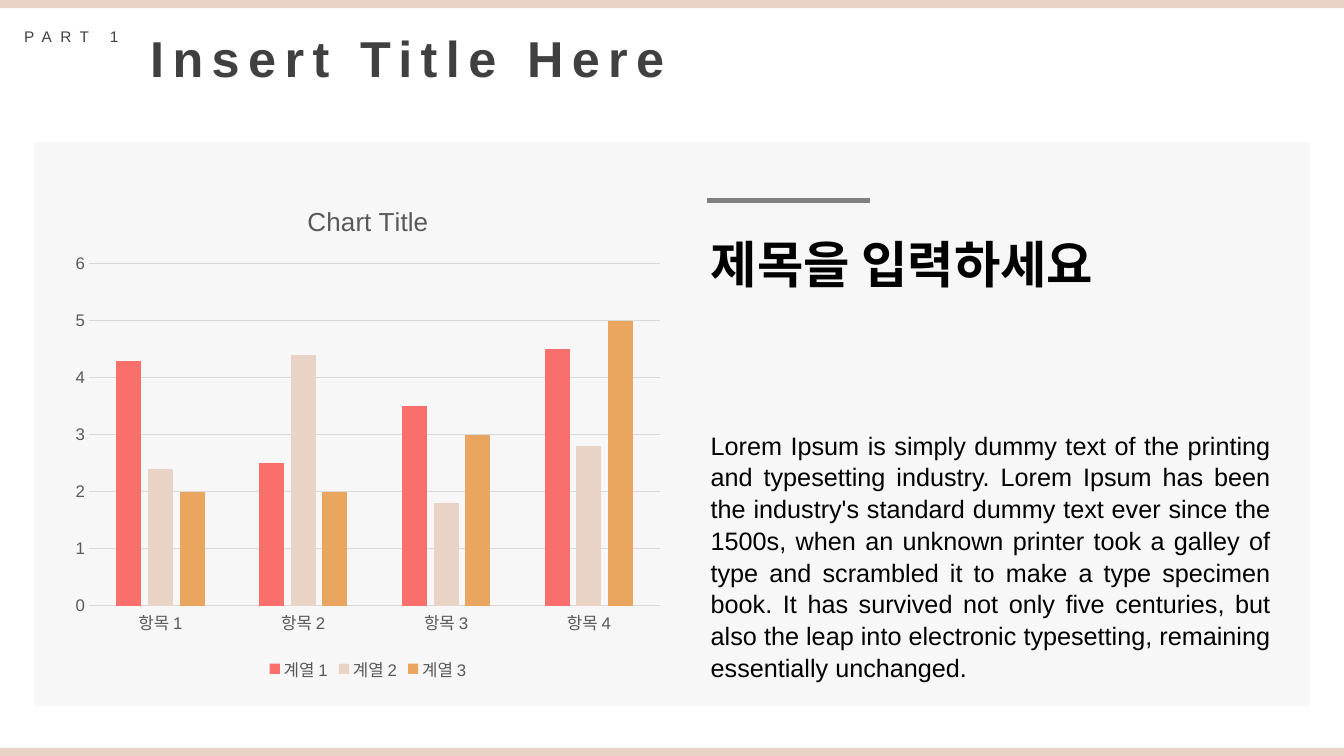
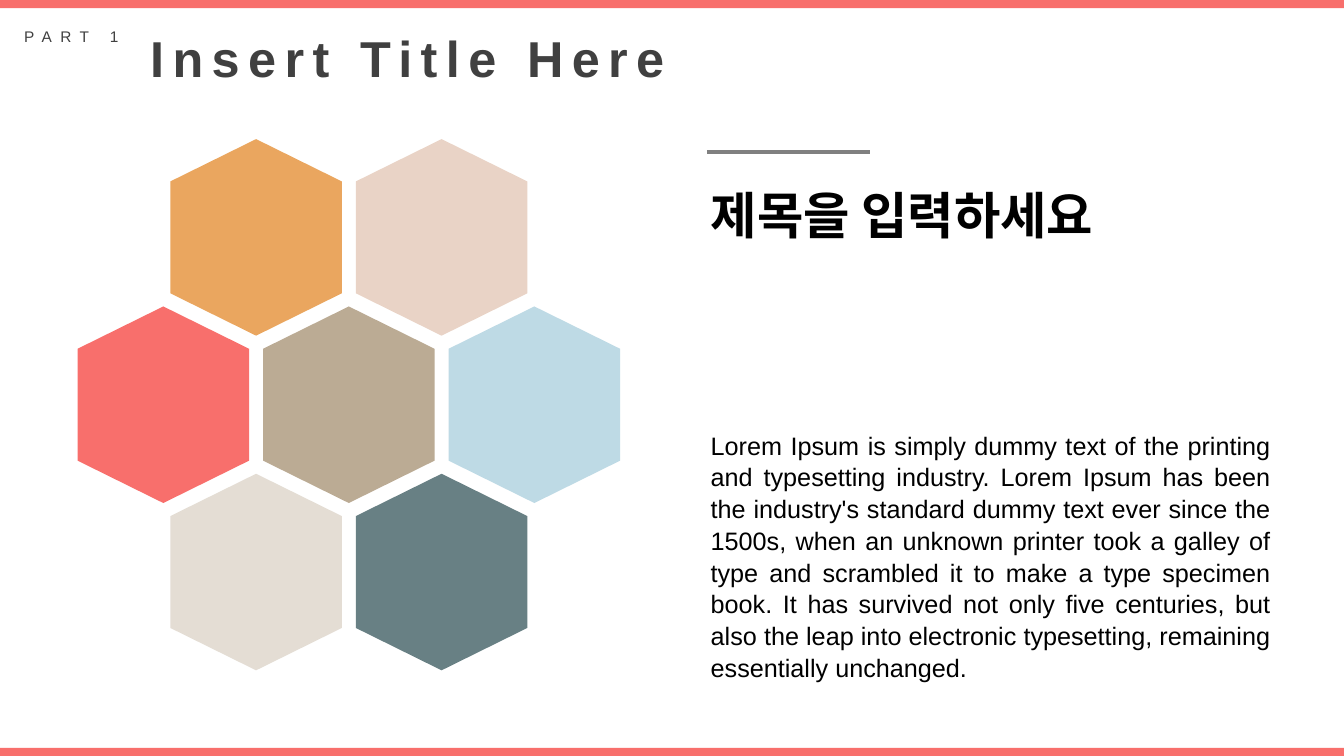
from lxml import etree
from pptx import Presentation
from pptx.chart.data import CategoryChartData
from pptx.dml.color import RGBColor
from pptx.enum.chart import XL_CHART_TYPE, XL_LEGEND_POSITION, XL_TICK_MARK
from pptx.enum.shapes import MSO_CONNECTOR, MSO_SHAPE
from pptx.enum.text import MSO_ANCHOR, MSO_AUTO_SIZE, PP_ALIGN
from pptx.oxml.ns import qn
from pptx.util import Pt

COLUMNS = XL_CHART_TYPE.COLUMN_CLUSTERED
BOTTOM = XL_LEGEND_POSITION.BOTTOM
NO_TICK = XL_TICK_MARK.NONE
STRAIGHT = MSO_CONNECTOR.STRAIGHT
RECTANGLE = MSO_SHAPE.RECTANGLE
TOP = MSO_ANCHOR.TOP
GROW = MSO_AUTO_SIZE.SHAPE_TO_FIT_TEXT
LEFT, JUSTIFY = PP_ALIGN.LEFT, PP_ALIGN.JUSTIFY

SCALE = 9144
WIDTH, HEIGHT = 1333, 750
BAND_HEIGHT = 8
TITLE_ONLY = 5
FONT = "Arial"

COLORS = {
    "black": "000000", "dark": "404040", "label": "595959", "rule": "808080",
    "grid": "D9D9D9", "panel": "F7F7F7", "coral": "F86F6C", "blush": "E9D3C6",
    "amber": "EAA65F", "taupe": "BBAB94", "sky": "BEDAE5", "slate": "688084",
    "sand": "E4DDD4",
}

FORMATS = {
    "title": {"size": Pt(36), "bold": True},
    "part": {"size": Pt(11), "bold": False},
    "heading": {"size": Pt(36), "bold": True},
    "body": {"size": Pt(18), "bold": False},
    "chart": {"size": Pt(12), "bold": False},
    "chart title": {"size": Pt(18.6), "bold": False},
}

BODY = (
    "Lorem Ipsum is simply dummy text of the printing and typesetting industry. "
    "Lorem Ipsum has been the industry's standard dummy text ever since the 1500s, "
    "when an unknown printer took a galley of type and scrambled it to make a type "
    "specimen book. It has survived not only five centuries, but also the leap into "
    "electronic typesetting, remaining essentially unchanged."
)

CATEGORIES = ["항목 1", "항목 2", "항목 3", "항목 4"]
SERIES = [
    ("계열 1", (4.3, 2.5, 3.5, 4.5), "coral"),
    ("계열 2", (2.4, 4.4, 1.8, 2.8), "blush"),
    ("계열 3", (2, 2, 3, 5), "amber"),
]

HEXAGON_WIDTH, HEXAGON_HEIGHT, SHOULDER = 170, 195, 42
COLUMN_PITCH, ROW_PITCH = 184, 166
HONEYCOMB_LEFT, HONEYCOMB_TOP = 77, 138
HONEYCOMB = [
    ("amber", "blush"),
    ("coral", "taupe", "sky"),
    ("sand", "slate"),
]


def px(*lengths):
    """Turn px lengths into a list of EMU."""
    return [length * SCALE for length in lengths]


def rgb(name):
    """Look up a named colour."""
    return RGBColor.from_string(COLORS[name])


class Deck:
    """Hold the shared style and the slide being built."""

    def __init__(self):
        """Open an empty wide presentation."""
        self.presentation = Presentation()
        self.presentation.slide_width, self.presentation.slide_height = px(WIDTH, HEIGHT)
        self.slide = None

    def add_slide(self, band_color, panel=None):
        """Start a slide with its bands, part label and title."""
        layout = self.presentation.slide_layouts[TITLE_ONLY]
        self.slide = self.presentation.slides.add_slide(layout)
        if panel:
            self.rectangle(panel, "panel")
        for top in (0, HEIGHT - BAND_HEIGHT):
            self.rectangle((0, top, WIDTH, BAND_HEIGHT), band_color)
        title = self.slide.shapes.title
        title.left, title.top, title.width, title.height = px(139, 22, 544, 71)
        self.fill_text(title, "Insert Title Here", "title", "dark", spacing=6)
        self.text((14, 22, 125, 29), "PART 1", "part", "dark", spacing=6)

    def style_font(self, font, style, color):
        """Apply a named format and colour to a font."""
        for name, value in {"name": FONT, **FORMATS[style]}.items():
            setattr(font, name, value)
        font.color.rgb = rgb(color)

    def fill_text(self, shape, text, style, color, spacing=0, wrap=False,
                  alignment=LEFT, line_spacing=1.0):
        """Fill a shape with one formatted paragraph."""
        frame = shape.text_frame
        frame.word_wrap, frame.auto_size, frame.vertical_anchor = wrap, GROW, TOP
        paragraph = frame.paragraphs[0]
        paragraph.alignment, paragraph.line_spacing = alignment, line_spacing
        run = paragraph.add_run()
        run.text = text
        self.style_font(run.font, style, color)
        if spacing:
            run._r.get_or_add_rPr().set("spc", str(spacing * 100))

    def text(self, box, text, style, color, **options):
        """Add a text box."""
        self.fill_text(self.slide.shapes.add_textbox(*px(*box)), text, style, color, **options)

    def paint(self, shape, color):
        """Give a shape a flat fill without line or shadow."""
        shape.shadow.inherit = False
        shape.fill.solid()
        shape.fill.fore_color.rgb = rgb(color)
        shape.line.fill.background()

    def rectangle(self, box, color):
        """Add a plain rectangle."""
        self.paint(self.slide.shapes.add_shape(RECTANGLE, *px(*box)), color)

    def rule(self, left, top, length):
        """Add a thick horizontal line."""
        ends = px(left, top, left + length, top)
        connector = self.slide.shapes.add_connector(STRAIGHT, *ends)
        connector.line.color.rgb = rgb("rule")
        connector.line.width = Pt(3)
        etree.SubElement(connector._element.spPr, qn("a:effectLst"))

    def article(self, top):
        """Add the ruled heading at a height, and the body text."""
        self.rule(701, top, 162)
        self.text((695, top + 27, 402, 71), "제목을 입력하세요", "heading", "black")
        self.text((695, 420, 575, 252), BODY, "body", "black",
                  wrap=True, alignment=JUSTIFY, line_spacing=1.05)

    def hexagon(self, shapes, left, top, color):
        """Add an upright hexagon."""
        middle, right = left + HEXAGON_WIDTH // 2, left + HEXAGON_WIDTH
        bottom = top + HEXAGON_HEIGHT
        upper, lower = top + SHOULDER, bottom - SHOULDER
        builder = shapes.build_freeform(middle, top, scale=SCALE)
        builder.add_line_segments([
            (right, upper), (right, lower), (middle, bottom), (left, lower), (left, upper),
        ])
        self.paint(builder.convert_to_shape(), color)

    def honeycomb(self):
        """Add the grouped rows of hexagons, each row centred."""
        shapes = self.slide.shapes.add_group_shape().shapes
        longest = max(len(colors) for colors in HONEYCOMB)
        for row, colors in enumerate(HONEYCOMB):
            indent = (longest - len(colors)) * COLUMN_PITCH // 2
            for column, color in enumerate(colors):
                left = HONEYCOMB_LEFT + indent + column * COLUMN_PITCH
                self.hexagon(shapes, left, HONEYCOMB_TOP + row * ROW_PITCH, color)

    def chart(self, box):
        """Add the clustered column chart."""
        data = CategoryChartData()
        data.categories = CATEGORIES
        for name, values, _ in SERIES:
            data.add_series(name, values)
        chart = self.slide.shapes.add_chart(COLUMNS, *px(*box), data).chart
        self.style_font(chart.font, "chart", "label")
        chart.has_title = True
        title_run = chart.chart_title.text_frame.paragraphs[0].add_run()
        title_run.text = "Chart Title"
        self.style_font(title_run.font, "chart title", "label")
        chart.has_legend = True
        chart.legend.position = BOTTOM
        chart.legend.include_in_layout = False
        plot = chart.plots[0]
        plot.gap_width, plot.overlap, plot.vary_by_categories = 219, -27, False
        for series, (_, _, color) in zip(plot.series, SERIES):
            series.format.fill.solid()
            series.format.fill.fore_color.rgb = rgb(color)
        category_axis, value_axis = chart.category_axis, chart.value_axis
        for axis in (category_axis, value_axis):
            axis.major_tick_mark = axis.minor_tick_mark = NO_TICK
        value_axis.minimum_scale, value_axis.maximum_scale, value_axis.major_unit = 0, 6, 1
        value_axis.format.line.fill.background()
        for line in (category_axis.format.line, value_axis.major_gridlines.format.line):
            line.color.rgb = rgb("grid")
            line.width = Pt(0.75)


def main():
    """Build both slides and save them."""
    deck = Deck()
    deck.add_slide("blush", panel=(34, 141, 1265, 559))
    deck.chart((63, 183, 604, 497))
    deck.article(199)
    deck.add_slide("coral")
    deck.honeycomb()
    deck.article(151)
    deck.presentation.save("out.pptx")


if __name__ == "__main__":
    main()
